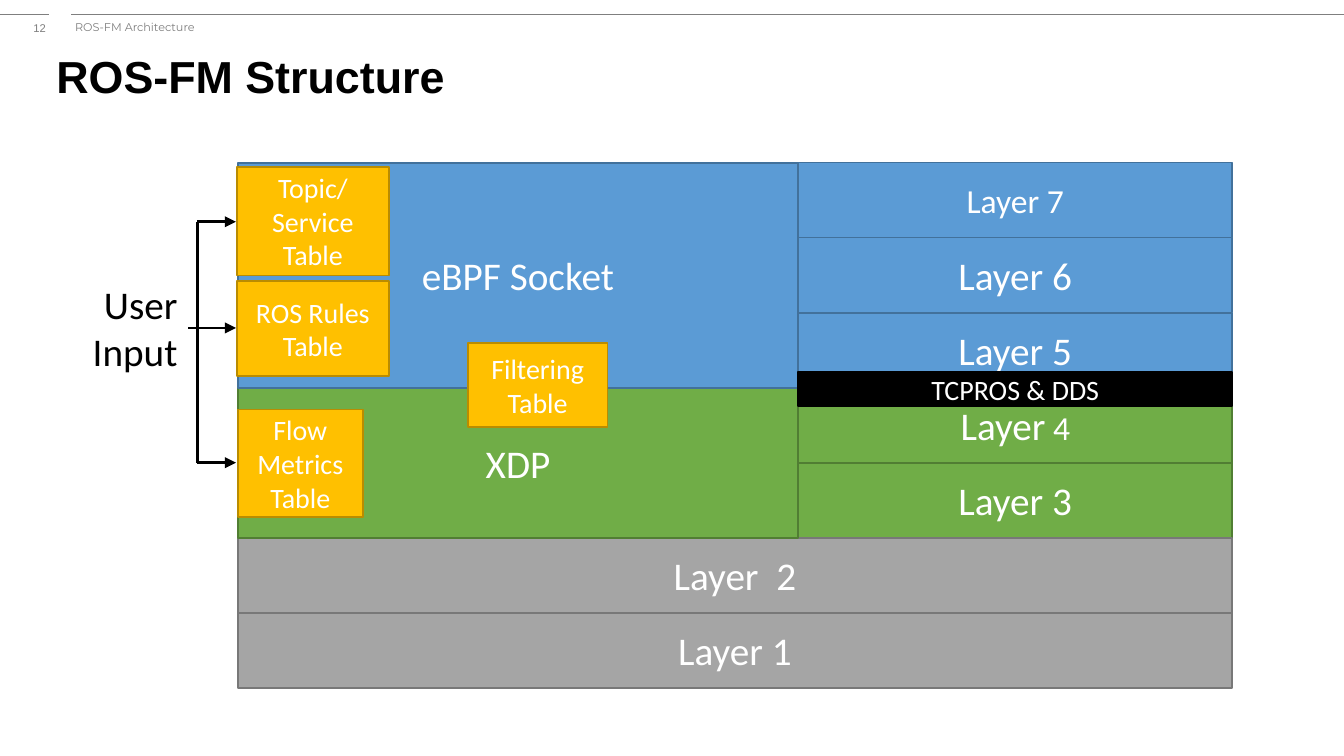
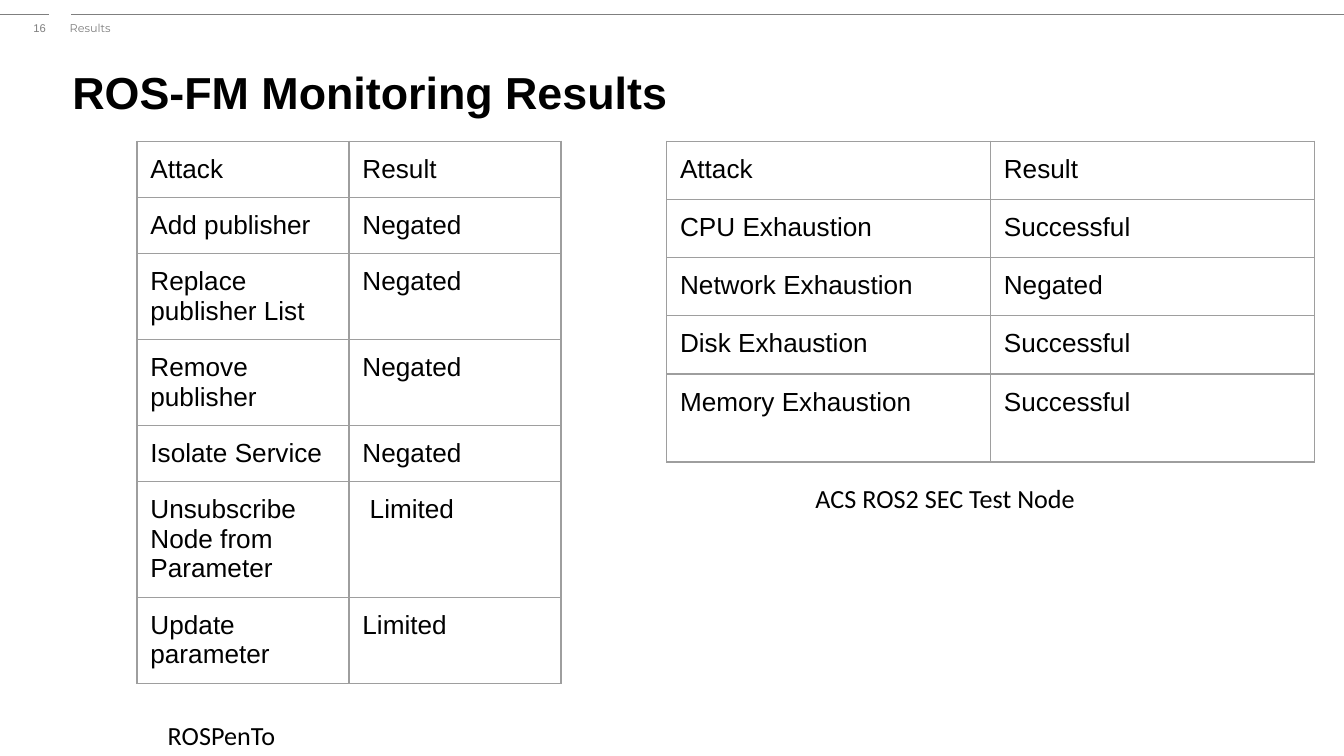
from lxml import etree
from pptx import Presentation
from pptx.dml.color import RGBColor
from pptx.enum import shapes, text as t
from pptx.oxml import ns
from pptx.util import Pt

BLACK, WHITE, GREY = "000000", "FFFFFF", "7F7F7F"
BLUE = ("5B9BD5", "42719B")
GREEN = ("70AD47", "517E33")
SILVER = ("A5A5A5", "787878")
GOLD = ("FFC000", "BA8C00")
BAND = (BLACK, BLACK)
BORDER = "9E9E9E"
LEFT, RIGHT, CENTER = t.PP_ALIGN.LEFT, t.PP_ALIGN.RIGHT, t.PP_ALIGN.CENTER

STACK_LEFT, STACK_SPLIT, STACK_RIGHT = 127.4, 427.7, 660.2
STACK_TOP, LAYER_HEIGHT = 87.1, 40.2
LINE_HEIGHT = 16

PENTEST_RESULTS = [
    ("Attack", "Result", 1), ("Add publisher", "Negated", 1),
    ("Replace publisher List", "Negated", 2), ("Remove publisher", "Negated", 2),
    ("Isolate Service", "Negated", 1), ("Unsubscribe Node from Parameter", " Limited", 3),
    ("Update parameter", "Limited", 2)]
EXHAUSTION_RESULTS = [
    ("Attack", "Result", 1), ("CPU Exhaustion", "Successful", 1),
    ("Network Exhaustion", "Negated", 1), ("Disk Exhaustion", "Successful", 1),
    ("Memory Exhaustion", "Successful", 2)]


def color(value):
    """Turn a hex string into a colour."""
    return RGBColor.from_string(value)


def write(frame, words, size=21, font="Calibri", fill=BLACK, bold=False,
          align=LEFT, append=False):
    """Write one paragraph per line, or append a span to the last paragraph."""
    for index, line in enumerate(words.split("\n")):
        para = frame.add_paragraph() if index else frame.paragraphs[-1]
        if not append:
            para.alignment = align
        span = para.add_run()
        span.text = line
        span.font.size, span.font.name, span.font.bold = Pt(size), font, bold
        span.font.color.rgb = color(fill)


def set_frame(frame, anchor=t.MSO_ANCHOR.TOP, across=5, down=2.8):
    """Set wrapping, anchor and insets of a text frame."""
    frame.word_wrap = True
    frame.auto_size = t.MSO_AUTO_SIZE.NONE
    frame.vertical_anchor = anchor
    frame.margin_left = frame.margin_right = Pt(across)
    frame.margin_top = frame.margin_bottom = Pt(down)


def add_label(page, left, top, width, height, words, across=5, down=2.8, **style):
    """Add a text box."""
    box = page.shapes.add_textbox(Pt(left), Pt(top), Pt(width), Pt(height))
    set_frame(box.text_frame, across=across, down=down)
    write(box.text_frame, words, **style)


def add_block(page, left, top, width, height, words, paint, size=21):
    """Add a filled rectangle with centred white text."""
    box = page.shapes.add_shape(shapes.MSO_SHAPE.RECTANGLE,
                                Pt(left), Pt(top), Pt(width), Pt(height))
    box.shadow.inherit = False
    box.fill.solid()
    box.fill.fore_color.rgb = color(paint[0])
    box.line.color.rgb = color(paint[1])
    box.line.width = Pt(1)
    set_frame(box.text_frame, t.MSO_ANCHOR.MIDDLE)
    write(box.text_frame, words, size=size, fill=WHITE, align=CENTER)
    return box


def add_line(page, x1, y1, x2, y2, stroke=BLACK, width=1.5, arrow=False):
    """Add a straight line, with an arrowhead at its end if asked."""
    line = page.shapes.add_connector(shapes.MSO_CONNECTOR.STRAIGHT,
                                     Pt(x1), Pt(y1), Pt(x2), Pt(y2))
    line.line.color.rgb = color(stroke)
    line.line.width = Pt(width)
    if arrow:
        etree.SubElement(line.line._get_or_add_ln(), ns.qn("a:tailEnd"), type="triangle")
    etree.SubElement(line._element.spPr, ns.qn("a:effectLst"))


def add_borders(cell, stroke, width):
    """Draw the four borders of a table cell."""
    props = cell._tc.get_or_add_tcPr()
    for side in ("lnL", "lnR", "lnT", "lnB"):
        edge = etree.SubElement(props, ns.qn(f"a:{side}"), w=str(Pt(width)))
        solid = etree.SubElement(edge, ns.qn("a:solidFill"))
        etree.SubElement(solid, ns.qn("a:srgbClr"), val=stroke)


def add_results(page, left, top, column_width, results, padding):
    """Add a two-column table whose rows fit their number of lines."""
    heights = [padding + LINE_HEIGHT * lines for *_, lines in results]
    table = page.shapes.add_table(len(results), 2, Pt(left), Pt(top),
                                  Pt(2 * column_width), Pt(sum(heights))).table
    table.first_row = table.horz_banding = False
    for column in table.columns:
        column.width = Pt(column_width)
    for row, height, (*entries, _) in zip(table.rows, heights, results):
        row.height = Pt(height)
        for cell, words in zip(row.cells, entries):
            add_borders(cell, BORDER, 0.75)
            cell.fill.background()
            cell.margin_left = cell.margin_right = Pt(7.2)
            cell.margin_top = cell.margin_bottom = Pt(7.2)
            write(cell.text_frame, words, size=14, font="Arial")


def add_page(deck, number, section, section_at, title, title_at):
    """Add a slide with its header rule, number, section and title."""
    page = deck.slides.add_slide(deck.slide_layouts[5])
    for start, end in ((720, 38), (26, 0)):
        add_line(page, start, 7.9, end, 7.9, stroke=GREY, width=0.75)
    add_label(page, 7.2, 8.6, 22.3, 13, number, size=6, font="Arial",
              fill=GREY, align=RIGHT)
    add_label(page, *section_at, section, size=6, font="Montserrat", fill=GREY)
    box = page.shapes.title
    box.left, box.top, box.width, box.height = map(Pt, title_at)
    set_frame(box.text_frame)
    write(box.text_frame, title, size=24, font="Arial", bold=True)
    box.text_frame.paragraphs[0].line_spacing = 0.9
    box.text_frame.paragraphs[0].space_before = Pt(8)
    return page


def add_structure(deck):
    """Build the layer diagram."""
    page = add_page(deck, "12", "ROS-FM Architecture", (35.3, 7.9, 216, 10),
                    "ROS-FM Structure", (25.2, 26.6, 496.8, 40.3))
    layers = [("Layer 7", BLUE, 18), ("Layer 6", BLUE, 21), ("Layer 5", BLUE, 21),
              ("Layer", GREEN, 21), ("Layer 3", GREEN, 21),
              ("Layer  2", SILVER, 21), ("Layer 1", SILVER, 21)]
    for index, (words, paint, size) in enumerate(layers):
        left = STACK_LEFT if paint == SILVER else STACK_SPLIT
        box = add_block(page, left, STACK_TOP + index * LAYER_HEIGHT,
                        STACK_RIGHT - left, LAYER_HEIGHT, words, paint, size)
        if words == "Layer":
            write(box.text_frame, " 4", size=18, fill=WHITE, append=True)
    for words, paint, first, count in (("XDP", GREEN, 3, 2), ("eBPF Socket", BLUE, 0, 3)):
        add_block(page, STACK_LEFT, STACK_TOP + first * LAYER_HEIGHT,
                  STACK_SPLIT - STACK_LEFT, count * LAYER_HEIGHT, words, paint)
    for words, left, top, width, height in (
            ("Filtering Table", 250.6, 183.6, 74.9, 45.4),
            ("Flow Metrics\nTable", 127.4, 219.4, 67, 57.6),
            ("Topic/ Service Table", 126.9, 89.3, 81.4, 58.3),
            ("ROS Rules Table", 126.9, 150.5, 81.4, 51.1)):
        add_block(page, left, top, width, height, words, GOLD, 15)
    add_block(page, STACK_SPLIT, 199.4, STACK_RIGHT - STACK_SPLIT, 18,
              "TCPROS & DDS", BAND, 15)
    trunk, top, bottom = 105.8, 118.8, 247.9
    for start, y in ((trunk, top), (100.8, 175.7), (trunk, bottom)):
        add_line(page, start, y, 126.4, y, arrow=True)
    add_line(page, trunk, top, trunk, bottom)
    add_label(page, 42.5, 147.6, 57.6, 56.2, "User Input", align=RIGHT)


def add_monitoring(deck):
    """Build the two result tables with their captions."""
    page = add_page(deck, "16", "Results", (32.4, 8.6, 288, 13.7),
                    "ROS-FM Monitoring Results", (33.8, 35.3, 662.4, 54))
    add_results(page, 73.4, 75.6, 113.6, PENTEST_RESULTS, padding=14)
    add_results(page, 357.1, 75.6, 173.5, EXHAUSTION_RESULTS, padding=15.2)
    for words, left, top in (("ROSPenTo", 82.8, 378),
                             ("ACS ROS2 SEC Test Node", 429.8, 251.3)):
        add_label(page, left, top, 218.2, 31.7, words, across=7.2, down=7.2, size=14)


def main():
    """Build and save the deck."""
    deck = Presentation()
    deck.slide_width, deck.slide_height = Pt(720), Pt(405)
    add_structure(deck)
    add_monitoring(deck)
    deck.save("out.pptx")


if __name__ == "__main__":
    main()
